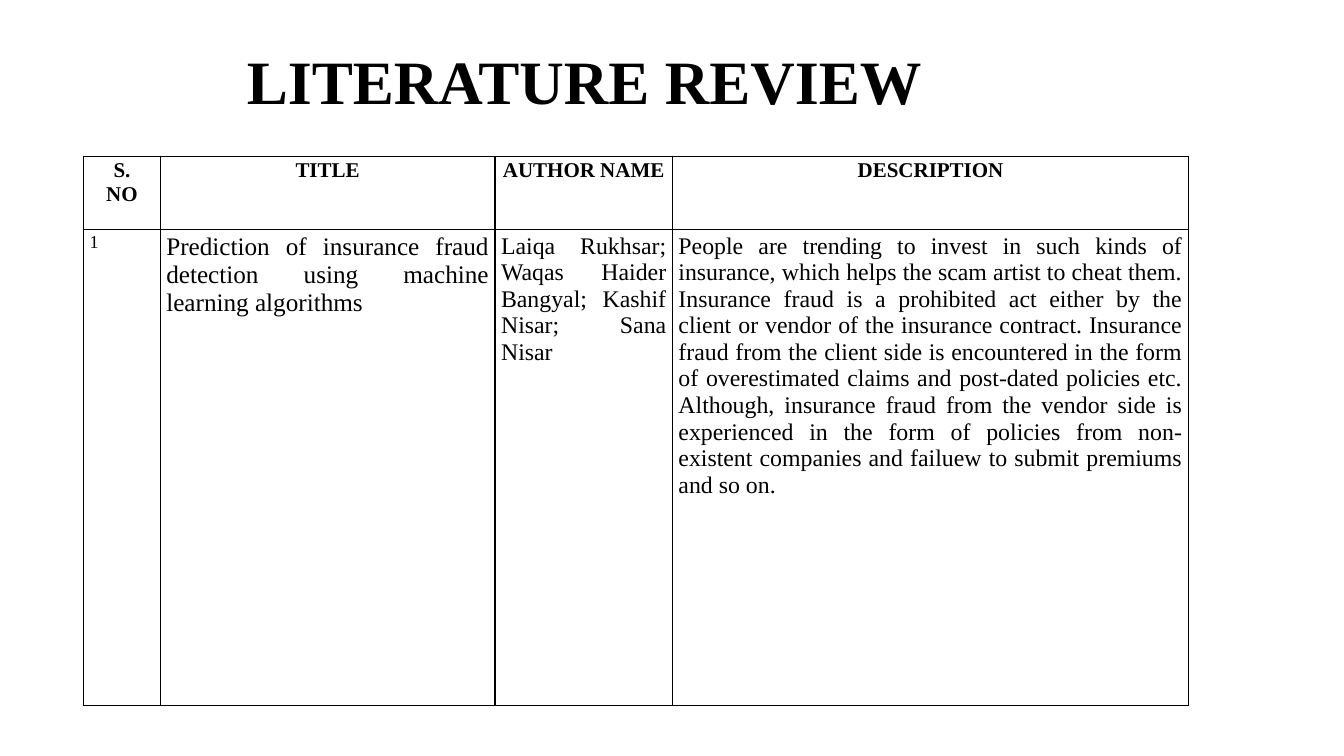
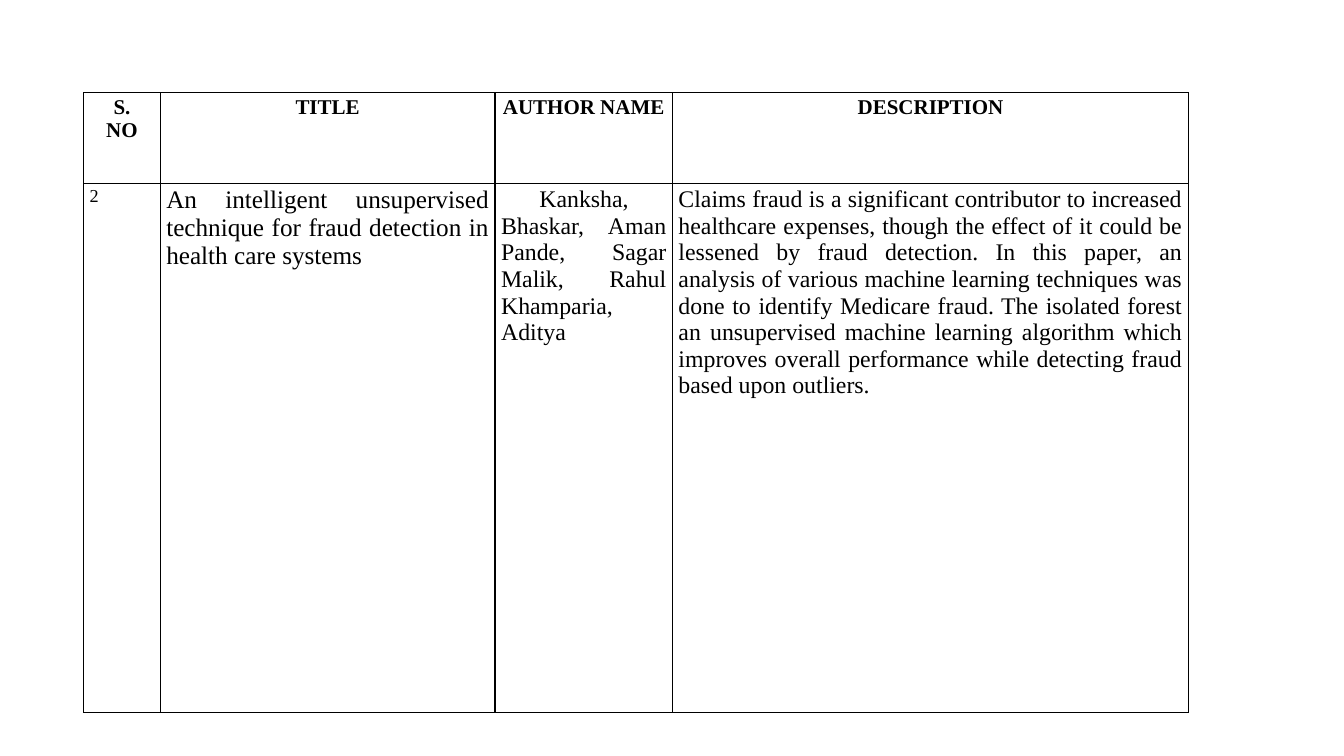
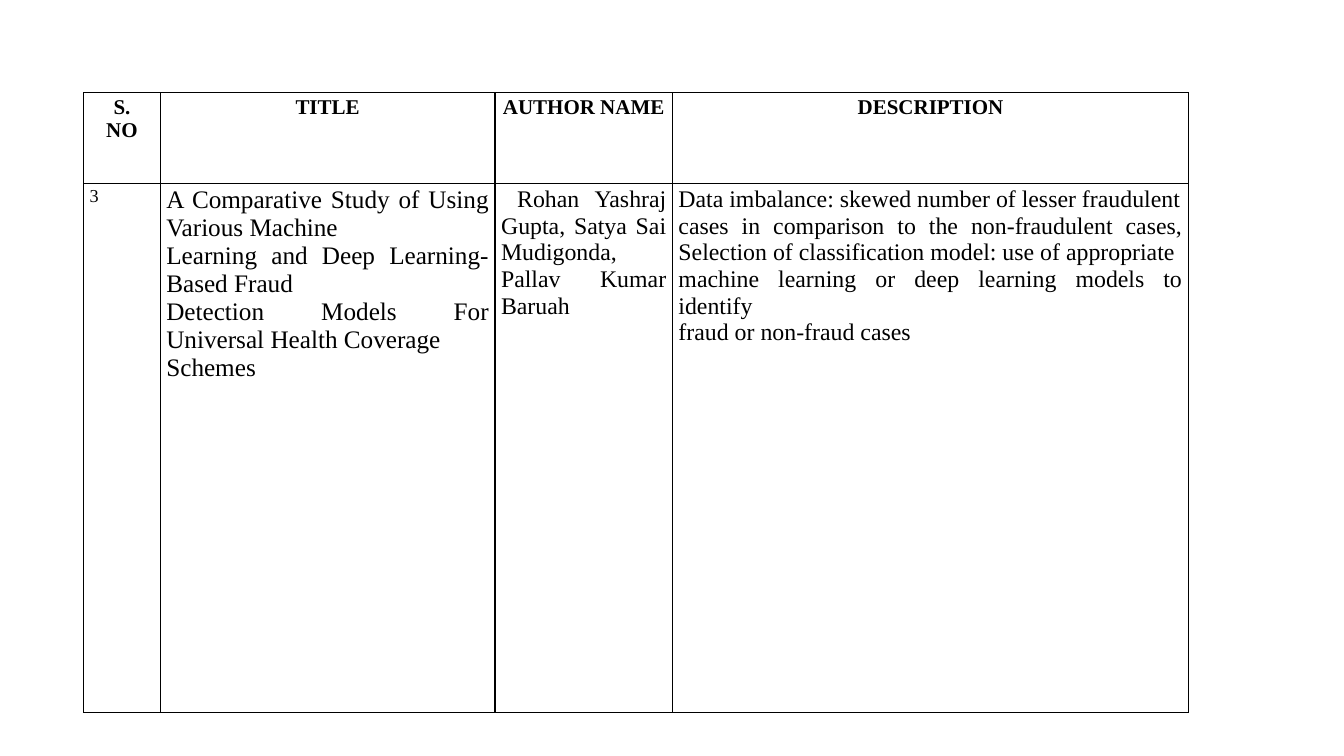
"""Build the three literature review slides."""
from dataclasses import dataclass

from lxml.etree import SubElement
from pptx import Presentation
from pptx.dml.color import RGBColor
from pptx.enum.text import MSO_ANCHOR, PP_ALIGN
from pptx.oxml.ns import qn
from pptx.util import Inches, Pt


@dataclass(frozen=True)
class Theme:
    font: str = "Times New Roman"
    ink: str = "000000"
    paper: str = "FFFFFF"
    title_size: int = 44
    header_size: int = 15
    body_sizes: tuple = (13, 18, 17, 17)
    border: int = 1


THEME = Theme()
TITLE = "LITERATURE REVIEW"
TITLE_BOX = (2.35, 0.4, 8.62, 0.87)
TABLE_LEFT = 0.83
COLUMNS = (0.76, 3.32, 1.76, 5.12)
MARGIN_X, MARGIN_Y = 0.06, 0.03
HEADER = ("S.\nNO", "TITLE", "AUTHOR NAME", "DESCRIPTION")

SLIDES = [
    {
        "title": TITLE,
        "top": 1.55,
        "rows": (0.73, 4.72),
        "author_indent": 0,
        "paper": (
            "1",
            "Prediction of insurance fraud detection using machine learning algorithms",
            "Laiqa Rukhsar; Waqas Haider Bangyal; Kashif Nisar; Sana Nisar",
            "People are trending to invest in such kinds of insurance, which helps the "
            "scam artist to cheat them. Insurance fraud is a prohibited act either by the "
            "client or vendor of the insurance contract. Insurance fraud from the client "
            "side is encountered in the form of overestimated claims and post-dated "
            "policies etc. Although, insurance fraud from the vendor side is experienced "
            "in the form of policies from non-existent companies and failuew to submit "
            "premiums and so on.",
        ),
    },
    {
        "top": 0.92,
        "rows": (0.9, 5.25),
        "author_indent": 0.38,
        "paper": (
            "2",
            "An intelligent unsupervised technique for fraud detection in health care systems",
            "Kanksha, Bhaskar, Aman Pande, Sagar Malik, Rahul Khamparia, Aditya",
            "Claims fraud is a significant contributor to increased healthcare expenses, "
            "though the effect of it could be lessened by fraud detection. In this paper, "
            "an analysis of various machine learning techniques was done to identify "
            "Medicare fraud. The isolated forest an unsupervised machine learning "
            "algorithm which improves overall performance while detecting fraud based "
            "upon outliers.",
        ),
    },
    {
        "top": 0.92,
        "rows": (0.9, 5.25),
        "author_indent": 0.16,
        "paper": (
            "3",
            "A Comparative Study of Using Various Machine\n"
            "Learning and Deep Learning-Based Fraud\n"
            "Detection Models For Universal Health Coverage\n"
            "Schemes",
            "Rohan Yashraj Gupta, Satya Sai Mudigonda, Pallav Kumar Baruah",
            "Data imbalance: skewed number of lesser fraudulent\n"
            "cases in comparison to the non-fraudulent cases, Selection of classification "
            "model: use of appropriate\n"
            "machine learning or deep learning models to identify\n"
            "fraud or non-fraud cases",
        ),
    },
]


def write(tf, text, size, bold, align):
    tf.text = text
    for p in tf.paragraphs:
        p.alignment = align
        for r in p.runs:
            r.font.name = THEME.font
            r.font.size = Pt(size)
            r.font.bold = bold
            r.font.color.rgb = RGBColor.from_string(THEME.ink)


def add_title(slide, text):
    tf = slide.shapes.add_textbox(*map(Inches, TITLE_BOX)).text_frame
    tf.word_wrap = True
    tf.vertical_anchor = MSO_ANCHOR.MIDDLE
    write(tf, text, THEME.title_size, True, PP_ALIGN.LEFT)
    tf.paragraphs[0].line_spacing = 0.9


def style_cell(cell):
    cell.margin_left = cell.margin_right = Inches(MARGIN_X)
    cell.margin_top = cell.margin_bottom = Inches(MARGIN_Y)
    tc_pr = cell._tc.get_or_add_tcPr()
    for side in ("a:lnL", "a:lnR", "a:lnT", "a:lnB"):
        ln = SubElement(tc_pr, qn(side), w=str(Pt(THEME.border)))
        fill = SubElement(ln, qn("a:solidFill"))
        SubElement(fill, qn("a:srgbClr"), val=THEME.ink)
    cell.fill.background()


def add_review_table(slide, data):
    box = (TABLE_LEFT, data["top"], sum(COLUMNS), sum(data["rows"]))
    table = slide.shapes.add_table(2, len(COLUMNS), *map(Inches, box)).table
    table.first_row = table.horz_banding = False
    for row, height in zip(table.rows, data["rows"]):
        row.height = Inches(height)
    for i, width in enumerate(COLUMNS):
        table.columns[i].width = Inches(width)
        head, body = table.cell(0, i), table.cell(1, i)
        style_cell(head)
        style_cell(body)
        write(head.text_frame, HEADER[i], THEME.header_size, True, PP_ALIGN.CENTER)
        write(body.text_frame, data["paper"][i], THEME.body_sizes[i], False, PP_ALIGN.JUSTIFY)
    author = table.cell(1, HEADER.index("AUTHOR NAME")).text_frame.paragraphs[0]
    author._p.get_or_add_pPr().set("indent", str(Inches(data["author_indent"])))


def main():
    prs = Presentation()
    prs.slide_width, prs.slide_height = Inches(13.33), Inches(7.5)
    background = prs.slide_master.background.fill
    background.solid()
    background.fore_color.rgb = RGBColor.from_string(THEME.paper)
    for data in SLIDES:
        slide = prs.slides.add_slide(prs.slide_layouts[6])
        if "title" in data:
            add_title(slide, data["title"])
        add_review_table(slide, data)
    prs.save("out.pptx")


if __name__ == "__main__":
    main()
